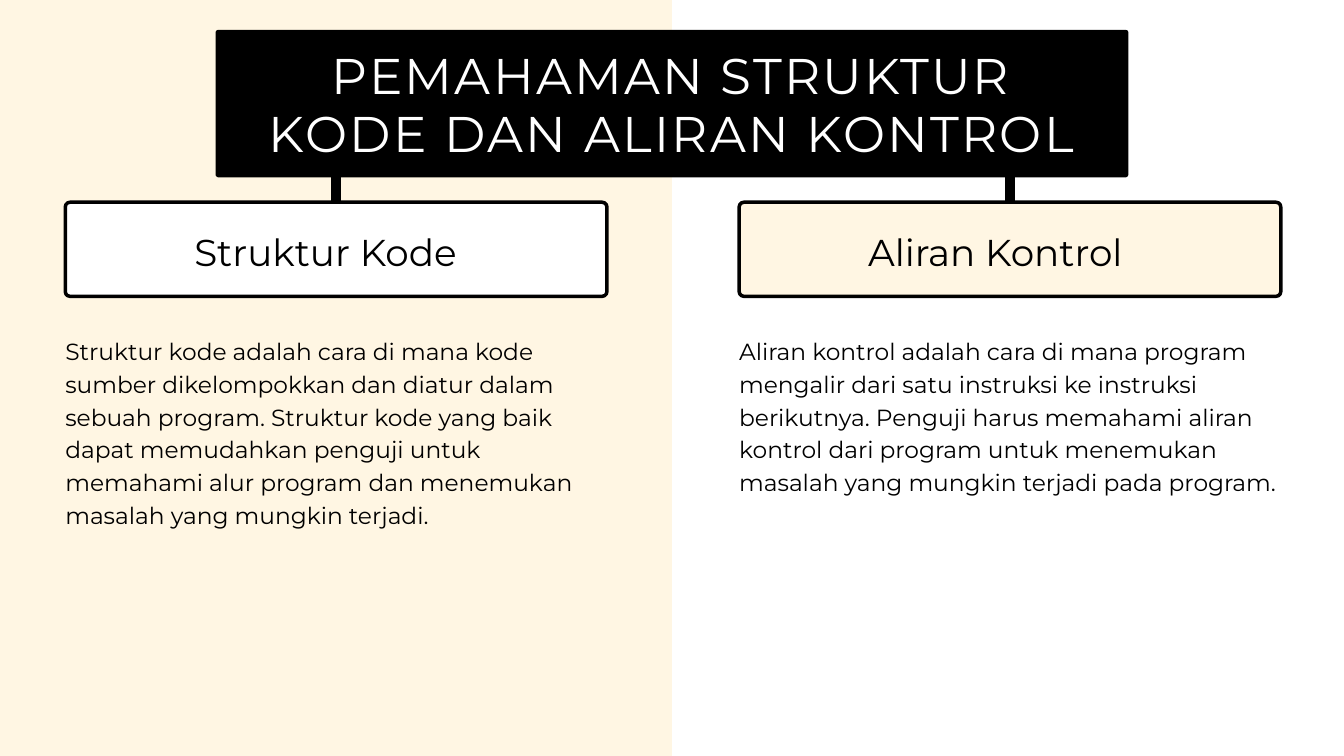
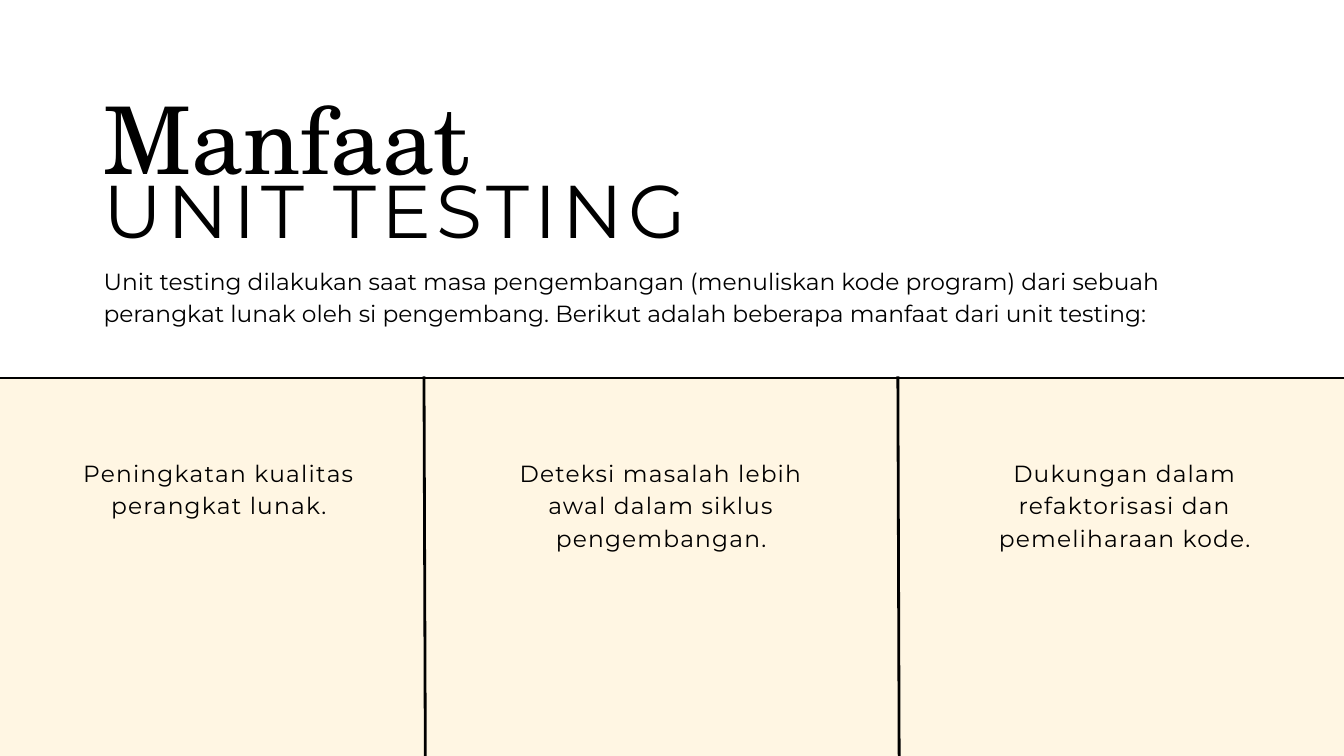
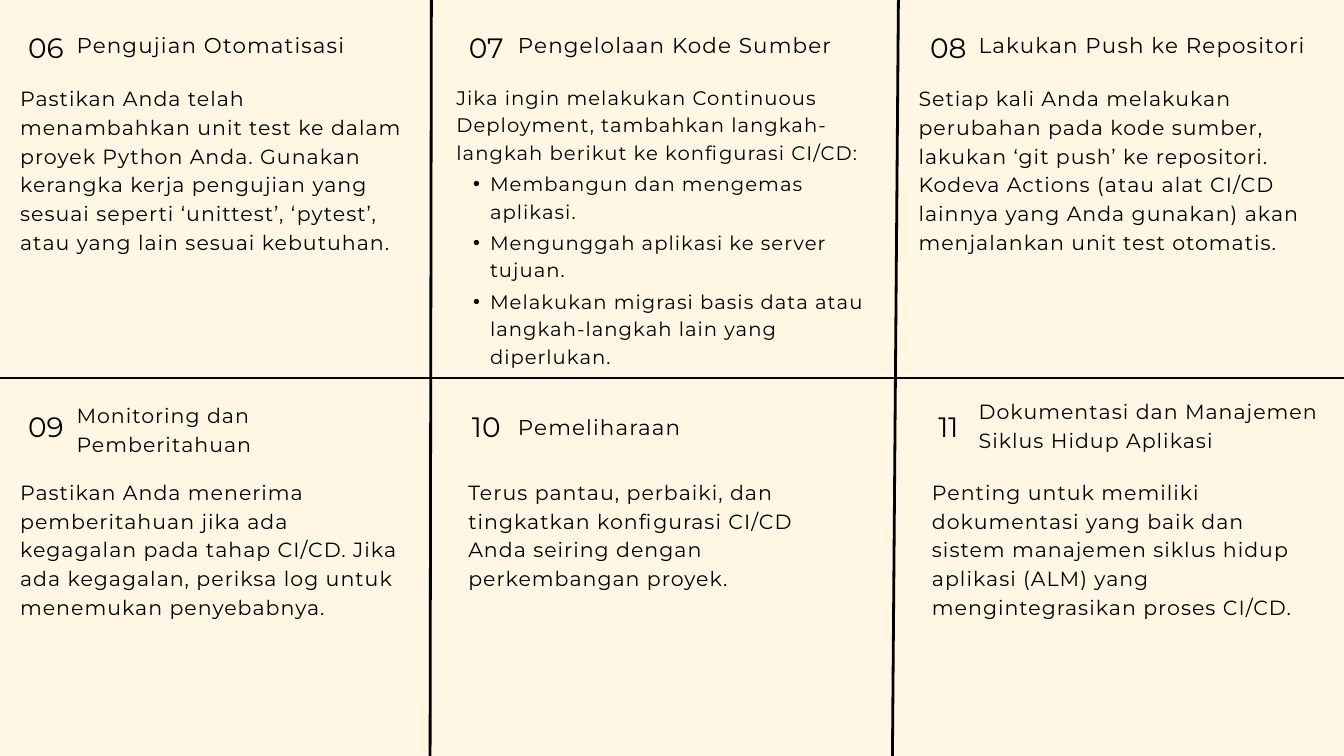
from dataclasses import dataclass
from typing import Optional

from lxml import etree
from pptx import Presentation
from pptx.dml.color import RGBColor
from pptx.enum.shapes import MSO_CONNECTOR, MSO_SHAPE
from pptx.enum.text import MSO_AUTO_SIZE, PP_ALIGN
from pptx.oxml.ns import qn
from pptx.util import Pt

STRAIGHT = MSO_CONNECTOR.STRAIGHT
RECTANGLE = MSO_SHAPE.RECTANGLE
ROUNDED = MSO_SHAPE.ROUNDED_RECTANGLE
GROW = MSO_AUTO_SIZE.SHAPE_TO_FIT_TEXT
LEFT, CENTER = PP_ALIGN.LEFT, PP_ALIGN.CENTER

SLIDE_W, SLIDE_H = 1440, 810
MIDDLE = SLIDE_H / 2


@dataclass(frozen=True)
class TextStyle:
    size: float
    leading: float
    tracking: float = 0
    align: PP_ALIGN = LEFT
    color: RGBColor = RGBColor(0, 0, 0)
    font: str = "Montserrat"


@dataclass(frozen=True)
class Theme:
    black = RGBColor(0, 0, 0)
    white = RGBColor(255, 255, 255)
    cream = RGBColor(0xFF, 0xF6, 0xE3)
    rule = 3
    outline = 3.75
    stem = 11.25
    banner = TextStyle(53.7, 62.3, 2.5, CENTER, white)
    heading = TextStyle(40, 56)
    body = TextStyle(25, 35)
    benefit = TextStyle(25, 35, 1.3, CENTER)
    script_title = TextStyle(100, 106, font="TeX Gyre Schola")
    caps_title = TextStyle(80, 84.8, 5.5)
    number = TextStyle(30, 45, align=CENTER)
    step_title = TextStyle(23, 32.2, 1.2)
    step_title_long = TextStyle(22, 30.8, 1.1)
    step_body = TextStyle(22, 30.8, 1.1)
    step_list = TextStyle(21, 29.4, 1.1)


THEME = Theme()


@dataclass(frozen=True)
class Box:
    left: float
    top: float
    width: float
    height: float


@dataclass(frozen=True)
class Topic:
    left: float
    fill: RGBColor
    heading: str
    body: str
    body_height: float


@dataclass(frozen=True)
class Benefit:
    left: float
    height: float
    text: str


@dataclass(frozen=True)
class Step:
    number: str
    number_left: float
    title: str
    title_box: Box
    body: str
    body_box: Box
    title_style: TextStyle = THEME.step_title
    body_style: TextStyle = THEME.step_body
    bullets: tuple[str, ...] = ()


TOPICS = (
    Topic(70, THEME.white, "Struktur Kode",
          "Struktur kode adalah cara di mana kode sumber dikelompokkan dan diatur "
          "dalam sebuah program. Struktur kode yang baik dapat memudahkan penguji "
          "untuk memahami alur program dan menemukan masalah yang mungkin terjadi.", 206),
    Topic(792, THEME.cream, "Aliran Kontrol",
          "Aliran kontrol adalah cara di mana program mengalir dari satu instruksi "
          "ke instruksi berikutnya. Penguji harus memahami aliran kontrol dari program "
          "untuk menemukan masalah yang mungkin terjadi pada program.", 171),
)

BENEFITS = (
    Benefit(80.6, 68, "Peningkatan kualitas perangkat lunak."),
    Benefit(554.4, 137, "Deteksi masalah lebih awal dalam siklus pengembangan."),
    Benefit(1051.2, 102, "Dukungan dalam refaktorisasi dan pemeliharaan kode."),
)

NUMBER_LEFTS = (17.3, 489, 984.2)
TITLE_LEFTS = (82, 555, 1048.6)
TOP_TITLE, TOP_BODY = 30.2, 87.8
LOW_TITLE, LOW_BODY = 438.5, 509.8
TOP_NUMBER, LOW_NUMBER = 23.4, 429.8

TOP_STEPS = (
    Step("06", NUMBER_LEFTS[0], "Pengujian Otomatisasi",
         Box(TITLE_LEFTS[0], TOP_TITLE, 292, 31),
         "Pastikan Anda telah menambahkan unit test ke dalam proyek Python Anda. "
         "Gunakan kerangka kerja pengujian yang sesuai seperti ‘unittest’, ‘pytest’, "
         "atau yang lain sesuai kebutuhan.",
         Box(21.6, TOP_BODY, 413, 183)),
    Step("07", NUMBER_LEFTS[1], "Pengelolaan Kode Sumber",
         Box(TITLE_LEFTS[1], TOP_TITLE, 338.4, 31),
         "Jika ingin melakukan Continuous Deployment, tambahkan langkah-langkah "
         "berikut ke konfigurasi CI/CD:",
         Box(489, TOP_BODY, 438.5, 303),
         body_style=THEME.step_list,
         bullets=("Membangun dan mengemas aplikasi.",
                  "Mengunggah aplikasi ke server tujuan.",
                  "Melakukan migrasi basis data atau langkah-langkah lain yang diperlukan.")),
    Step("08", NUMBER_LEFTS[2], "Lakukan Push ke Repositori",
         Box(TITLE_LEFTS[2], TOP_TITLE, 355, 31),
         "Setiap kali Anda melakukan perubahan pada kode sumber, lakukan ‘git push’ "
         "ke repositori. Kodeva Actions (atau alat CI/CD lainnya yang Anda gunakan) "
         "akan menjalankan unit test otomatis.",
         Box(984.2, TOP_BODY, 427, 183)),
)

LOW_STEPS = (
    Step("09", NUMBER_LEFTS[0], "Monitoring dan Pemberitahuan",
         Box(TITLE_LEFTS[0], 427.7, 194.4, 60),
         "Pastikan Anda menerima pemberitahuan jika ada kegagalan pada tahap CI/CD. "
         "Jika ada kegagalan, periksa log untuk menemukan penyebabnya.",
         Box(21.6, LOW_BODY, 413, 153), THEME.step_title_long),
    Step("10", NUMBER_LEFTS[1], "Pemeliharaan",
         Box(TITLE_LEFTS[1], LOW_TITLE, 338.4, 31),
         "Terus pantau, perbaiki, dan tingkatkan konfigurasi CI/CD Anda seiring "
         "dengan perkembangan proyek.",
         Box(501.8, LOW_BODY, 413, 122)),
    Step("11", NUMBER_LEFTS[2], "Dokumentasi dan Manajemen Siklus Hidup Aplikasi",
         Box(TITLE_LEFTS[2], 423.4, 391, 60),
         "Penting untuk memiliki dokumentasi yang baik dan sistem manajemen siklus "
         "hidup aplikasi (ALM) yang mengintegrasikan proses CI/CD.",
         Box(998.6, LOW_BODY, 413, 153), THEME.step_title_long),
)


def draw_panel(slide, box: Box, fill: RGBColor, radius: float = 0,
               outline: Optional[float] = None) -> None:
    panel = slide.shapes.add_shape(ROUNDED if radius else RECTANGLE, Pt(box.left),
                                   Pt(box.top), Pt(box.width), Pt(box.height))
    panel.shadow.inherit = False
    panel.fill.solid()
    panel.fill.fore_color.rgb = fill
    if radius:
        panel.adjustments[0] = radius / min(box.width, box.height)
    if outline:
        panel.line.color.rgb = THEME.black
        panel.line.width = Pt(outline)
    else:
        panel.line.fill.background()


def draw_line(slide, x1: float, y1: float, x2: float, y2: float,
              width: float = THEME.rule) -> None:
    line = slide.shapes.add_connector(STRAIGHT, Pt(x1), Pt(y1), Pt(x2), Pt(y2))
    line.line.color.rgb = THEME.black
    line.line.width = Pt(width)
    etree.SubElement(line._element.spPr, qn("a:effectLst"))


def write_paragraph(paragraph, text: str, style: TextStyle) -> None:
    paragraph.alignment = style.align
    paragraph.line_spacing = Pt(style.leading)
    run = paragraph.add_run()
    run.text = text
    run.font.name = style.font
    run.font.size = Pt(style.size)
    run.font.color.rgb = style.color
    if style.tracking:
        run._r.get_or_add_rPr().set("spc", str(round(style.tracking * 100)))


def add_bullet(paragraph) -> None:
    paragraph.space_before = Pt(4.2)
    properties = paragraph._p.get_or_add_pPr()
    properties.set("marL", str(Pt(36)))
    properties.set("indent", str(-Pt(18)))
    etree.SubElement(properties, qn("a:buFont")).set("typeface", "Arial")
    etree.SubElement(properties, qn("a:buChar")).set("char", "•")


def draw_text(slide, box: Box, text: str, style: TextStyle,
              bullets: tuple[str, ...] = ()) -> None:
    frame = slide.shapes.add_textbox(Pt(box.left), Pt(box.top),
                                     Pt(box.width), Pt(box.height)).text_frame
    frame.word_wrap = True
    frame.auto_size = GROW
    frame.margin_left = frame.margin_right = frame.margin_top = frame.margin_bottom = 0
    write_paragraph(frame.paragraphs[0], text, style)
    for bullet in bullets:
        paragraph = frame.add_paragraph()
        write_paragraph(paragraph, bullet, style)
        add_bullet(paragraph)


def draw_topic(slide, topic: Topic) -> None:
    width = 580.3
    stem_x = topic.left + width / 2
    draw_panel(slide, Box(topic.left, 216.7, width, 100.8), topic.fill, 5, THEME.outline)
    draw_text(slide, Box(topic.left + 138.2, 237.6, 303, 53.3), topic.heading, THEME.heading)
    draw_line(slide, stem_x, 154, stem_x, 216.7, THEME.stem)
    draw_text(slide, Box(topic.left, 356.4, width, topic.body_height), topic.body, THEME.body)


def draw_step(slide, step: Step, number_top: float) -> None:
    draw_text(slide, Box(step.number_left, number_top, 64, 43), step.number, THEME.number)
    draw_text(slide, step.title_box, step.title, step.title_style)
    draw_text(slide, step.body_box, step.body, step.body_style, step.bullets)


def build_structure(slide) -> None:
    draw_panel(slide, Box(0, 0, SLIDE_W / 2, SLIDE_H), THEME.cream)
    draw_panel(slide, Box(231, 32, 978, 158), THEME.black, 3)
    for topic in TOPICS:
        draw_topic(slide, topic)
    draw_text(slide, Box(262, 49.7, 916, 124),
              "PEMAHAMAN STRUKTUR KODE DAN ALIRAN KONTROL", THEME.banner)


def build_benefits(slide) -> None:
    draw_panel(slide, Box(0, MIDDLE, SLIDE_W, MIDDLE), THEME.cream)
    draw_text(slide, Box(111, 186.5, 690, 88), "UNIT TESTING", THEME.caps_title)
    draw_text(slide, Box(111, 100.8, 477, 107), "Manfaat", THEME.script_title)
    draw_text(slide, Box(111, 280.8, 1217.5, 68),
              "Unit testing dilakukan saat masa pengembangan (menuliskan kode program) "
              "dari sebuah perangkat lunak oleh si pengembang. Berikut adalah beberapa "
              "manfaat dari unit testing:", THEME.body)
    for benefit in BENEFITS:
        draw_text(slide, Box(benefit.left, 486.7, 308, benefit.height),
                  benefit.text, THEME.benefit)
    draw_line(slide, 0, MIDDLE, SLIDE_W, MIDDLE)
    for divider_x in (454.3, 962):
        draw_line(slide, divider_x, 403.2, divider_x + 1.4, SLIDE_H)


def build_steps(slide) -> None:
    draw_line(slide, 0, MIDDLE, SLIDE_W, MIDDLE)
    draw_panel(slide, Box(0, 406.5, SLIDE_W, SLIDE_H - 406.5), THEME.cream)
    draw_panel(slide, Box(0, 0, SLIDE_W, 403.8), THEME.cream)
    for top_x, bottom_x in ((462.2, 460.8), (962.6, 956.2)):
        draw_line(slide, top_x, 0, bottom_x, SLIDE_H)
    for steps, number_top in ((TOP_STEPS, TOP_NUMBER), (LOW_STEPS, LOW_NUMBER)):
        for step in steps:
            draw_step(slide, step, number_top)


def main() -> None:
    deck = Presentation()
    deck.slide_width, deck.slide_height = Pt(SLIDE_W), Pt(SLIDE_H)
    blank = deck.slide_layouts[6]
    for build in (build_structure, build_benefits, build_steps):
        slide = deck.slides.add_slide(blank)
        slide.background.fill.solid()
        slide.background.fill.fore_color.rgb = THEME.white
        build(slide)
    deck.save("out.pptx")


if __name__ == "__main__":
    main()
